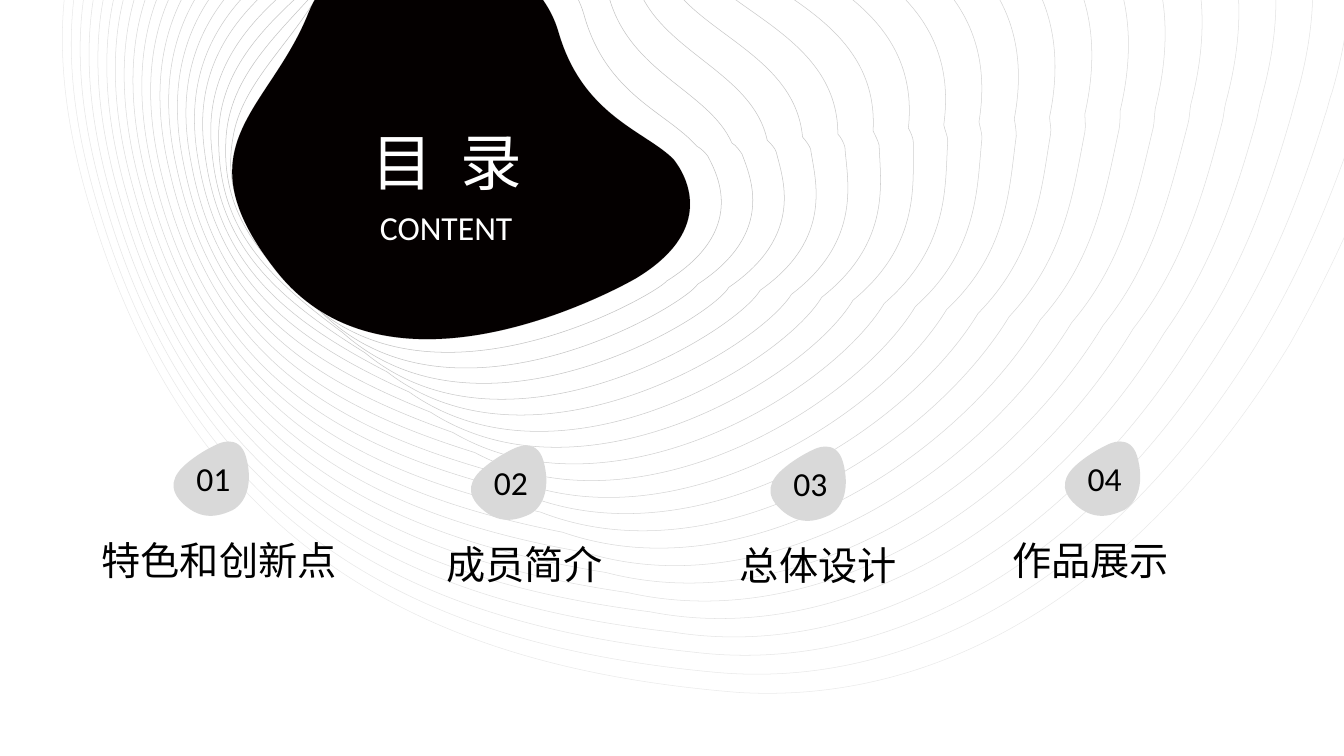
from lxml.etree import SubElement
from pptx import Presentation
from pptx.dml.color import RGBColor
from pptx.enum.text import MSO_ANCHOR, PP_ALIGN
from pptx.oxml.ns import qn
from pptx.util import Inches, Pt

# Closed outlines in hundredths of an inch: a start, then three points per curve,
# the last curve ending at the start.
WIDE_RING = [
    (710, 667), (440, 642), (198, 545), (97, 204), (-6, -137), (208, -273), (486, -318),
    (767, -363), (1061, -322), (1062, -317), (1064, -313), (1467, -285), (1356, 89),
    (1353, 97), (1351, 105), (1348, 113), (1322, 195), (1289, 271), (1248, 339),
    (1115, 558), (918, 686)]
NARROW_RING = [
    (297, 290), (240, 229), (222, 188), (231, 137), (239, 85), (284, 48), (315, -4),
    (378, -109), (551, -82), (579, 14), (601, 94), (661, 111), (691, 145),
    (695, 147), (700, 152), (702, 155), (712, 174), (741, 229), (661, 279),
    (654, 290), (424, 425)]
BLOB = [
    (631, 276), (631, 276), (392, 416), (275, 270), (176, 145), (267, 111), (306, 13),
    (351, -98), (525, -69), (554, 32), (578, 115), (640, 130), (668, 158),
    (680, 173), (712, 227)]
BADGE = [
    (50, 12), (50, 12), (72, 0), (79, 24), (86, 49), (80, 69), (66, 77), (51, 84), (35, 87),
    (18, 72), (0, 56), (7, 42), (20, 31), (34, 19), (50, 12)]
RING_STEPS = 19  # from the wide ring to the narrow one
ITEMS = [  # badge left and top, label, label left
    (1.65, 4.29, "特色和创新点", 0.91),
    (4.6, 4.33, "成员简介", 4.33),
    (7.57, 4.34, "总体设计", 7.24),
    (10.49, 4.29, "作品展示", 9.94),
]


def add_curve(shapes, points, fill=None, line=None):
    """Draw a closed outline whose points after the first are Bézier triples."""
    builder = shapes.build_freeform(*points[0], scale=Inches(0.01))
    builder.add_line_segments(points[1:] + points[:1], close=True)
    shape = builder.convert_to_shape()
    shape.shadow.inherit = False
    corners = list(shape.element.iter(qn("a:lnTo")))
    for first in range(0, len(corners), 3):
        curve = SubElement(corners[first].getparent(), qn("a:cubicBezTo"))
        corners[first].addprevious(curve)
        for corner in corners[first:first + 3]:
            curve.append(corner[0])
            corner.getparent().remove(corner)
    for form, colour in ((shape.fill, fill), (shape.line.fill, line)):
        if colour:
            form.solid()
            form.fore_color.rgb = RGBColor.from_string(colour)
        else:
            form.background()
    if line:
        shape.line.width = Pt(0.38)


def write(box, text, left, top, width, height, size, colour, font="Calibri"):
    box.left, box.top = Inches(left), Inches(top)
    box.width, box.height = Inches(width), Inches(height)
    frame = box.text_frame
    frame.word_wrap = False
    frame.vertical_anchor = MSO_ANCHOR.TOP
    frame.text = text
    para = frame.paragraphs[0]
    para.alignment = PP_ALIGN.LEFT
    para.font.name, para.font.size = font, Pt(size)
    para.font.color.rgb = RGBColor.from_string(colour)


deck = Presentation()
deck.slide_width, deck.slide_height = Inches(13.33), Inches(7.5)
page = deck.slides.add_slide(deck.slide_layouts[5])

backdrop = page.shapes.add_group_shape()
for step in range(-1, RING_STEPS + 1):  # one more ring lies outside the wide one
    share = step / RING_STEPS
    ring = [(round(x + (u - x) * share), round(y + (v - y) * share))
            for (x, y), (u, v) in zip(WIDE_RING, NARROW_RING)]
    add_curve(backdrop.shapes, ring, line=f"{0xE8 - 2 * step:02X}" * 3)
add_curve(backdrop.shapes, BLOB, line="C0BFBF")
add_curve(backdrop.shapes, BLOB, fill="040000")

title = page.shapes.title
write(title, "目  录", 3.58, 1.18, 1.72, 0.84, 44, "FFFFFF")
backdrop.element.addnext(title.element)  # bring the title in front of the blob
subtitle = page.shapes.add_textbox(0, 0, 0, 0)
write(subtitle, "CONTENT", 3.67, 2, 1.52, 0.5, 24, "FFFFFF")

for number, (left, top, label, label_left) in enumerate(ITEMS, start=1):
    badge = page.shapes.add_group_shape()
    outline = [(round(left * 100) + x, round(top * 100) + y) for x, y in BADGE]
    add_curve(badge.shapes, outline, fill="D9D9D9")
    write(badge.shapes.add_textbox(0, 0, 0, 0), f"{number:02}",
          left + 0.2, top + 0.2, 0.54, 0.5, 24, "000000")
    write(page.shapes.add_textbox(0, 0, 0, 0), label, label_left, top + 0.98,
          0.39 * len(label) + 0.2, 0.57, 28, "000000", "Noto Sans CJK SC")

deck.save("out.pptx")
